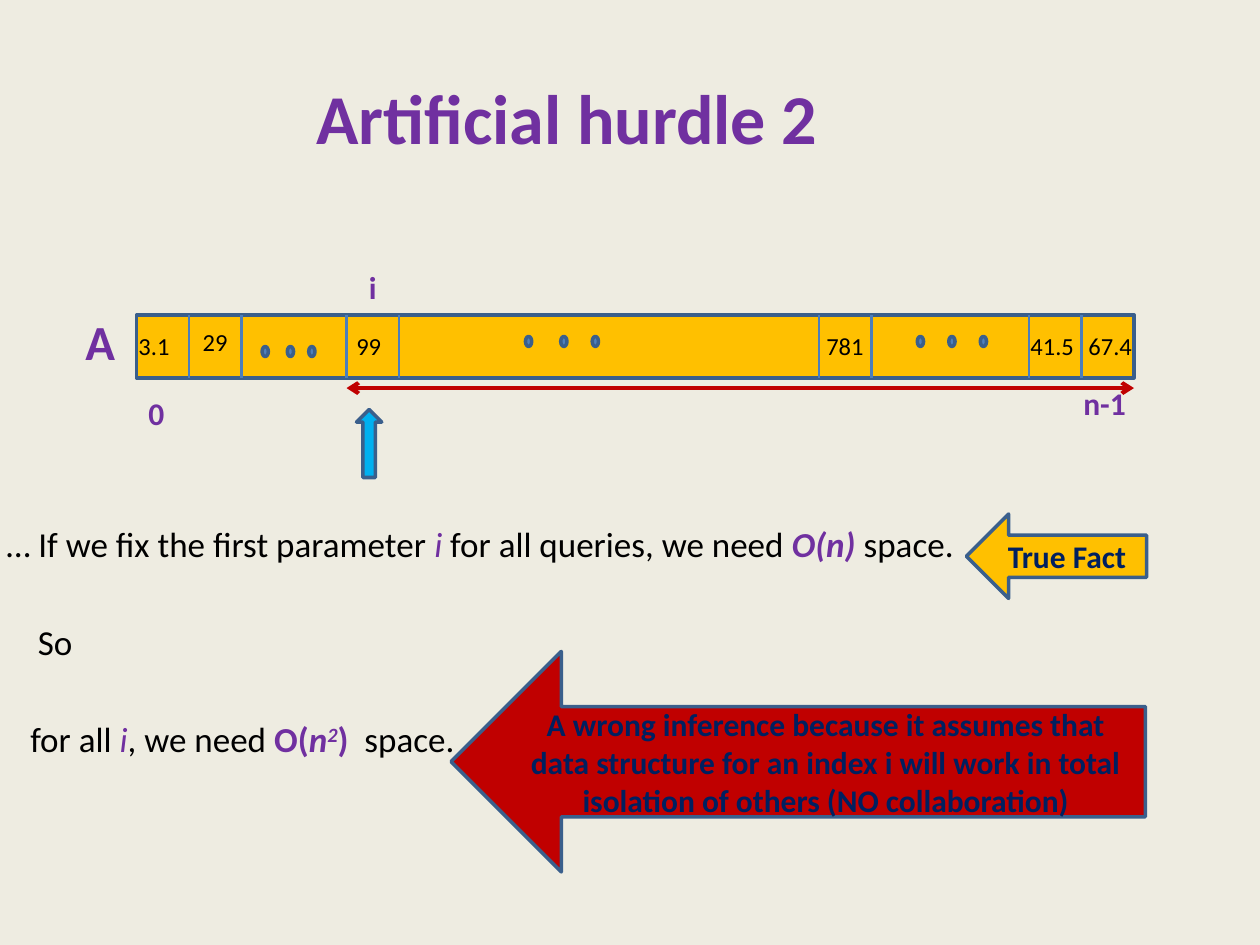
import dataclasses

import pptx
import pptx.dml.color
import pptx.enum.shapes
import pptx.enum.text
import pptx.oxml
import pptx.oxml.ns
import pptx.util

Inches = pptx.util.Inches
Pt = pptx.util.Pt
Shape = pptx.enum.shapes.MSO_SHAPE
Align = pptx.enum.text.PP_ALIGN
Anchor = pptx.enum.text.MSO_ANCHOR


@dataclasses.dataclass(frozen=True)
class Theme:
    """Colours, font and type sizes of the slide."""
    font: str = "Calibri"
    paper: str = "EEECE1"
    accent: str = "7030A0"
    ink: str = "000000"
    navy: str = "002060"
    amber: str = "FFC000"
    red: str = "C00000"
    sky: str = "00B0F0"
    dot: str = "4F81BD"
    outline: str = "3A5F8C"
    divider: str = "4B7EBC"
    title: int = 40
    name: int = 28
    body: int = 20
    label: int = 18
    value: int = 14


THEME = Theme()
CELL = 5 / 12          # width of one array cell
ARRAY_LEFT = 13 / 12
ARRAY_TOP = 2.5
ARRAY_HEIGHT = 0.5
CELL_COUNT = 19


def column(index):
    """Return the left edge of an array cell in inches."""
    return ARRAY_LEFT + index * CELL


def rgb(value):
    """Turn a hex string into a colour."""
    return pptx.dml.color.RGBColor.from_string(value)


def add_span(para, text, size, color, bold=False, italic=False, raised=False):
    """Append one formatted run to a paragraph."""
    span = para.add_run()
    span.text = text
    font = span.font
    font.name, font.size = THEME.font, Pt(size)
    font.bold, font.italic = bold, italic
    font.color.rgb = rgb(color)
    if raised:
        span._r.get_or_add_rPr().set("baseline", "30000")


def add_label(page, text, left, top, width, height, size, color, bold=False):
    """Add a one-line text box."""
    box = page.shapes.add_textbox(*map(Inches, (left, top, width, height)))
    box.text_frame.word_wrap = False
    add_span(box.text_frame.paragraphs[0], text, size, color, bold)


def add_figure(page, kind, left, top, width, height, fill, text=""):
    """Add an outlined preset shape, with centred bold text if given."""
    shape = page.shapes.add_shape(kind, *map(Inches, (left, top, width, height)))
    shape.shadow.inherit = False
    shape.fill.solid()
    shape.fill.fore_color.rgb = rgb(fill)
    shape.line.color.rgb = rgb(THEME.outline)
    shape.line.width = Pt(2)
    if text:
        shape.text_frame.word_wrap = True
        shape.text_frame.vertical_anchor = Anchor.MIDDLE
        para = shape.text_frame.paragraphs[0]
        para.alignment = Align.CENTER
        add_span(para, text, THEME.label, THEME.navy, bold=True)


def add_line(page, start, end, color, width, arrows=False):
    """Add a straight line, with arrowheads at both ends on request."""
    line = page.shapes.add_connector(
        pptx.enum.shapes.MSO_CONNECTOR.STRAIGHT, *map(Inches, start + end))
    line.line.color.rgb = rgb(color)
    line.line.width = Pt(width)
    if arrows:
        outline = line.line._get_or_add_ln()
        for tag in ("a:headEnd", "a:tailEnd"):
            head = pptx.oxml.ns.qn(tag)
            outline.append(outline.makeelement(head, {"type": "arrow"}))
    properties = line._element.spPr
    properties.append(properties.makeelement(pptx.oxml.ns.qn("a:effectLst"), {}))


def place(box, left, top, width, height):
    """Move and size a placeholder."""
    box.left, box.top, box.width, box.height = map(
        Inches, (left, top, width, height))


def fill_title(page):
    """Format the title placeholder."""
    title = page.shapes.title
    place(title, 0, 0.3, 9, 1.25)
    title.text_frame.vertical_anchor = Anchor.MIDDLE
    para = title.text_frame.paragraphs[0]
    para.alignment = Align.CENTER
    add_span(para, "Artificial hurdle 2", THEME.title, THEME.accent, bold=True)


def fill_body(page):
    """Write the three steps of the argument in the body placeholder."""
    body = page.placeholders[1]
    place(body, -0.05, 1.75, 9, 4.95)
    frame = body.text_frame
    frame.margin_top = Inches(2.4)
    plain = (THEME.ink,)
    variable = (THEME.accent, False, True)
    strong = (THEME.accent, True)
    strong_variable = (THEME.accent, True, True)
    steps = [
        (0, [("… If we fix the first parameter ", plain), ("i ", variable),
             ("for all queries, we need ", plain), ("O(n) ", strong_variable),
             ("space.", plain)]),
        (0.25, [("So", plain)]),
        (0.19, [("for all ", plain), ("i", variable), (", we need ", plain),
                ("O(", strong), ("n", strong_variable),
                ("2", strong_variable + (True,)), (")  ", strong),
                ("space.", plain)]),
    ]
    for number, (indent, spans) in enumerate(steps):
        para = frame.add_paragraph() if number else frame.paragraphs[0]
        para.alignment = Align.LEFT
        para.space_before = Pt(31.6 if number else 0)
        properties = para._p.get_or_add_pPr()
        properties.set("marL", str(Inches(indent)))
        properties.set("indent", "0")
        properties.append(
            properties.makeelement(pptx.oxml.ns.qn("a:buNone"), {}))
        for text, style in spans:
            add_span(para, text, THEME.body, *style)


def draw_array(page):
    """Draw the array with its dividers, dots and values."""
    add_figure(page, Shape.RECTANGLE, ARRAY_LEFT, ARRAY_TOP,
               CELL_COUNT * CELL, ARRAY_HEIGHT, THEME.amber)
    for index in (1, 2, 4, 5, 13, 14, 17, 18):
        add_line(page, (column(index), ARRAY_TOP),
                 (column(index), ARRAY_TOP + ARRAY_HEIGHT), THEME.divider, 1.5)
    for top, lefts in ((2.75, (2.08, 2.28, 2.45)), (2.67, (4.17, 4.45, 4.7)),
                       (2.67, (7.28, 7.53, 7.78))):
        for left in lefts:
            add_figure(page, Shape.OVAL, left, top, 0.05, 0.08, THEME.dot)
    values = [("3.1", 1, 2.58, 0.45), ("29", 1.51, 2.55, 0.4),
              ("99", 2.73, 2.58, 0.4), ("781", 6.46, 2.58, 0.5),
              ("41.5", 8.08, 2.58, 0.55), ("67.4", 8.54, 2.58, 0.55)]
    for text, left, top, width in values:
        add_label(page, text, left, top, width, 0.34, THEME.value, THEME.ink)


def draw_markers(page):
    """Name the array and its indices, and mark the range from i."""
    add_label(page, "A", 0.58, 2.42, 0.44, 0.57, THEME.name, THEME.accent, True)
    for text, left, top, width in (("0", 1.08, 3.08, 0.33),
                                   ("n-1", 8.5, 3, 0.54),
                                   ("i", 2.83, 2.08, 0.39)):
        add_label(page, text, left, top, width, 0.4,
                  THEME.label, THEME.accent, True)
    add_line(page, (column(4), 3.08), (column(CELL_COUNT), 3.08),
             THEME.red, 2.25, arrows=True)
    add_figure(page, Shape.UP_ARROW, 2.83, 3.25, 0.2, 0.54, THEME.sky)


def main():
    """Build the slide and save it."""
    deck = pptx.Presentation()
    deck.slide_width, deck.slide_height = Inches(10), Inches(7.5)
    page = deck.slides.add_slide(deck.slide_layouts[1])
    page.background.fill.solid()
    page.background.fill.fore_color.rgb = rgb(THEME.paper)
    fill_title(page)
    fill_body(page)
    draw_array(page)
    draw_markers(page)
    add_figure(page, Shape.LEFT_ARROW, 7.67, 4.08, 1.43, 0.67,
               THEME.amber, "True Fact")
    add_figure(page, Shape.LEFT_ARROW, 3.58, 5.17, 5.51, 1.75, THEME.red,
               "A wrong inference because it assumes that data structure for "
               "an index i will work in total isolation of others "
               "(NO collaboration)")
    deck.save("out.pptx")


main()
